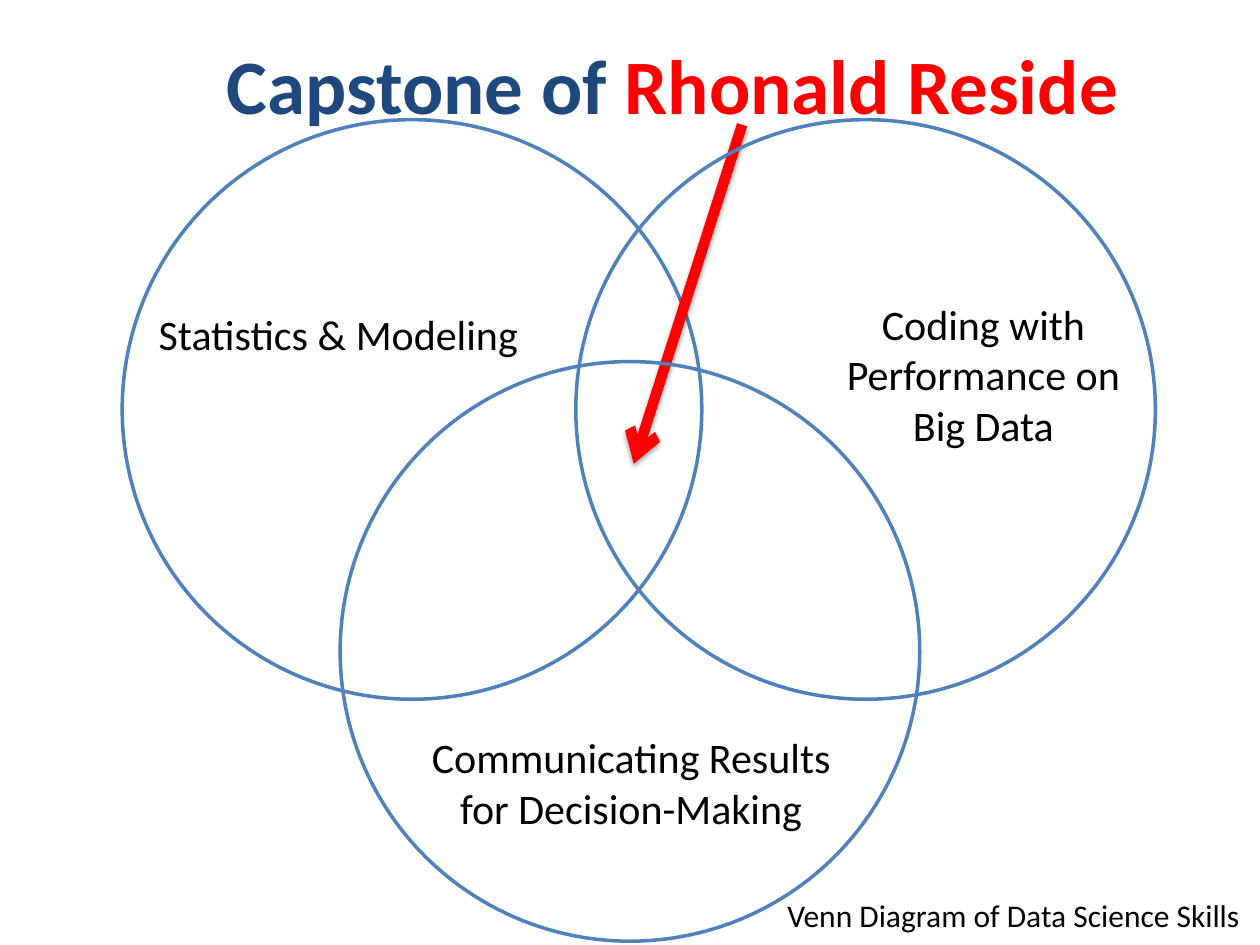
from lxml.etree import SubElement
from pptx import Presentation
from pptx.dml.color import RGBColor
from pptx.enum.shapes import MSO_CONNECTOR, MSO_SHAPE
from pptx.enum.text import MSO_ANCHOR, MSO_AUTO_SIZE, PP_ALIGN
from pptx.oxml.ns import qn
from pptx.util import Inches, Pt

COLORS = {"navy": "1F497D", "red": "FF0000", "blue": "4F81BD", "black": "000000"}
COLS, ROWS = 100, 75


def rgb(name):
    return RGBColor.from_string(COLORS[name])


class VennSlide:
    """Style and current slide; positions are columns and rows of the grid."""

    font = "Calibri"

    def __init__(self, prs):
        self.col = prs.slide_width / COLS
        self.row = prs.slide_height / ROWS
        self.s = prs.slides.add_slide(prs.slide_layouts[5])

    def point(self, x, y):
        return round(x * self.col), round(y * self.row)

    def box(self, x, y, w, h):
        return *self.point(x, y), *self.point(w, h)

    def runs(self, p, parts, size, bold=False):
        for text, color in parts:
            r = p.add_run()
            r.text = text
            r.font.name = self.font
            r.font.size = Pt(size)
            r.font.bold = bold
            r.font.color.rgb = rgb(color)

    def title(self, parts, *area):
        sp = self.s.shapes.title
        sp.left, sp.top, sp.width, sp.height = self.box(*area)
        tf = sp.text_frame
        tf.vertical_anchor = MSO_ANCHOR.MIDDLE
        p = tf.paragraphs[0]
        p.alignment = PP_ALIGN.CENTER
        self.runs(p, parts, 44, bold=True)

    def circle(self, x, y, size):
        sp = self.s.shapes.add_shape(MSO_SHAPE.OVAL, *self.box(x, y, size, size))
        sp.shadow.inherit = False
        sp.fill.background()
        sp.line.color.rgb = rgb("blue")
        sp.line.width = Pt(2)

    def label(self, text, *area, size=24, wrap=True, align=PP_ALIGN.CENTER):
        tf = self.s.shapes.add_textbox(*self.box(*area)).text_frame
        tf.word_wrap = wrap
        tf.auto_size = MSO_AUTO_SIZE.SHAPE_TO_FIT_TEXT
        p = tf.paragraphs[0]
        p.alignment = align
        self.runs(p, [(text, "black")], size)

    def arrow(self, start, end):
        cx = self.s.shapes.add_connector(
            MSO_CONNECTOR.STRAIGHT, *self.point(*start), *self.point(*end))
        cx.line.color.rgb = rgb("red")
        cx.line.width = Pt(6)
        # Arrowhead and soft shadow below the line
        SubElement(cx.line._get_or_add_ln(), qn("a:tailEnd"), type="arrow")
        effects = SubElement(cx._element.spPr, qn("a:effectLst"))
        shadow = SubElement(effects, qn("a:outerShdw"), blurRad=str(Pt(3.1)),
                            dist=str(Pt(1.6)), dir="5400000", rotWithShape="0")
        color = SubElement(shadow, qn("a:srgbClr"), val=COLORS["black"])
        SubElement(color, qn("a:alpha"), val="38000")


def main():
    prs = Presentation()
    prs.slide_width, prs.slide_height = Inches(10), Inches(7.5)
    venn = VennSlide(prs)
    diameter = 46

    # Title, first circle and caption
    venn.title([("Capstone of ", "navy"), ("Rhonald Reside", "red")],
               11.8, 0.4, 83.2, 12.5)
    venn.circle(9.7, 9.5, diameter)
    venn.label("Venn Diagram of Data Science Skills", 61.5, 70.6, 38.5, 4,
               size=18, wrap=False, align=PP_ALIGN.LEFT)

    # Arrow from the name to the shared centre, below the other circles
    venn.arrow((58.9, 9.9), (50.3, 36.8))
    for x, y in [(45.7, 9.5), (27, 28.7)]:
        venn.circle(x, y, diameter)

    # Skill labels
    venn.label("Communicating Results for Decision-Making", 32.1, 57.6, 36, 9.1)
    venn.label("Coding with Performance on Big Data", 64.8, 23.2, 26.5, 13.1)
    venn.label("Statistics & Modeling", 11.4, 24, 30.9, 5, wrap=False)

    prs.save("out.pptx")


if __name__ == "__main__":
    main()
